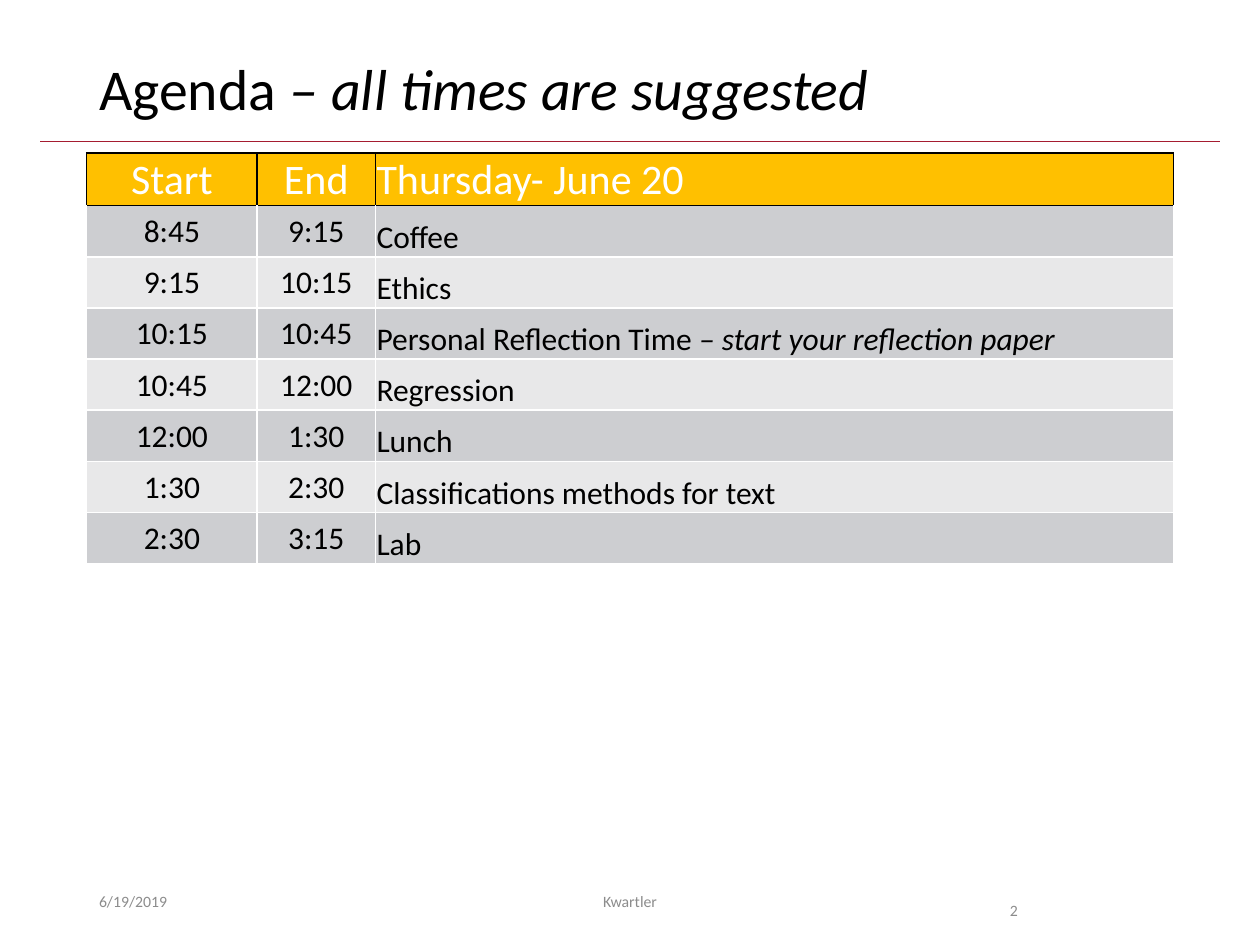
from lxml import etree
from pptx import Presentation
from pptx.dml.color import RGBColor
from pptx.enum import shapes, text
from pptx.oxml import ns
from pptx.util import Pt

FONT = "Calibri"
MID = text.MSO_ANCHOR.MIDDLE
LOW = text.MSO_ANCHOR.BOTTOM
LEFT = text.PP_ALIGN.LEFT
MIDST = text.PP_ALIGN.CENTER
HEAD = ("Start", "End", ["Thursday- June 20"])
ROWS = [
    ("8:45", "9:15", ["Coffee"]),
    ("9:15", "10:15", ["Ethics"]),
    ("10:15", "10:45", ["Personal Reflection Time ", "– start your reflection paper"]),
    ("10:45", "12:00", ["Regression"]),
    ("12:00", "1:30", ["Lunch"]),
    ("1:30", "2:30", ["Classifications methods for text"]),
    ("2:30", "3:15", ["Lab"]),
]


def color(code):
    return RGBColor.from_string(code)


def write(par, parts, size, code, align=LEFT):
    par.alignment = align
    par.font.name = FONT
    par.font.size = Pt(size)
    par.font.color.rgb = color(code)
    for i, part in enumerate(parts):
        run = par.add_run()
        run.text = part
        if i:
            run.font.italic = True


def place(shape, box):
    shape.left, shape.top, shape.width, shape.height = map(Pt, box)


def add_title(slide, box):
    title = slide.shapes.title
    place(title, box)
    frame = title.text_frame
    frame.vertical_anchor = MID
    par = frame.paragraphs[0]
    par.line_spacing = 0.9
    write(par, ["Agenda ", "– all times are suggested"], 33, "000000")


def add_rule(slide, left, top, width):
    rule = slide.shapes.add_connector(
        shapes.MSO_CONNECTOR.STRAIGHT, Pt(left), Pt(top), Pt(left + width), Pt(top))
    rule.line.color.rgb = color("A51C30")
    rule.line.width = Pt(0.5)
    etree.SubElement(rule._element.spPr, ns.qn("a:effectLst"))


def add_edges(cell, codes):
    props = cell._tc.get_or_add_tcPr()
    for i, (side, code) in enumerate(zip("LRTB", codes)):
        edge = etree.Element(ns.qn("a:ln" + side), w=str(Pt(1)))
        fill = etree.SubElement(edge, ns.qn("a:solidFill"))
        etree.SubElement(fill, ns.qn("a:srgbClr"), val=code)
        props.insert(i, edge)


def fill_cell(cell, parts, size, ink, back, align, anchor):
    cell.margin_left = cell.margin_right = cell.margin_top = Pt(0.7)
    cell.margin_bottom = 0
    cell.vertical_anchor = anchor
    cell.fill.solid()
    cell.fill.fore_color.rgb = color(back)
    write(cell.text_frame.paragraphs[0], parts, size, ink, align)


def add_agenda(slide, box):
    rows = [HEAD] + ROWS
    table = slide.shapes.add_table(len(rows), 3, *map(Pt, box)).table
    first, second = 97.5, 67.5
    for col, width in zip(table.columns, (first, second, box[2] - first - second)):
        col.width = Pt(width)
    for r, row in enumerate(rows):
        table.rows[r].height = Pt(box[3] / len(rows))
        if r == 0:
            size, ink, back = 24, "FFFFFF", "FFC000"
            edges = ["000000"] * 4
        else:
            size, ink = 18, "000000"
            back = "CDCED1" if r % 2 else "E8E8E9"
            edges = ["FFFFFF"] * 4
            if r == 1:
                edges[2] = "000000"
        for c, item in enumerate(row):
            cell = table.cell(r, c)
            parts, align = (item, LEFT) if c == 2 else ([item], MIDST)
            anchor = LOW if r and c == 2 else MID
            fill_cell(cell, parts, size, ink, back, align, anchor)
            add_edges(cell, edges)


def add_note(slide, box, words, align=LEFT, anchor=MID, space=1.0):
    note = slide.shapes.add_textbox(*map(Pt, box))
    frame = note.text_frame
    frame.word_wrap = True
    frame.vertical_anchor = anchor
    par = frame.paragraphs[0]
    par.line_spacing = space
    write(par, [words], 9, "8C8C8C", align)


def add_footer(slide, left, top, height):
    add_note(slide, (left, top, 162, height), "6/19/2019")
    add_note(slide, (left + 189, top, 243, height), "Kwartler", MIDST)
    add_note(slide, (left + 520.5, top, 67.5, height), "2",
             anchor=text.MSO_ANCHOR.TOP, space=2.0)


def main():
    deck = Presentation()
    deck.slide_width, deck.slide_height = Pt(720), Pt(540)
    slide = deck.slides.add_slide(deck.slide_layouts[5])
    add_rule(slide, 23, 80.75, 674)
    add_title(slide, (49.5, 28.8, 621, 46.8))
    add_agenda(slide, (49.5, 87.5, 621, 234))
    add_footer(slide, 49.5, 500.5, 28.75)
    deck.save("out.pptx")


if __name__ == "__main__":
    main()
